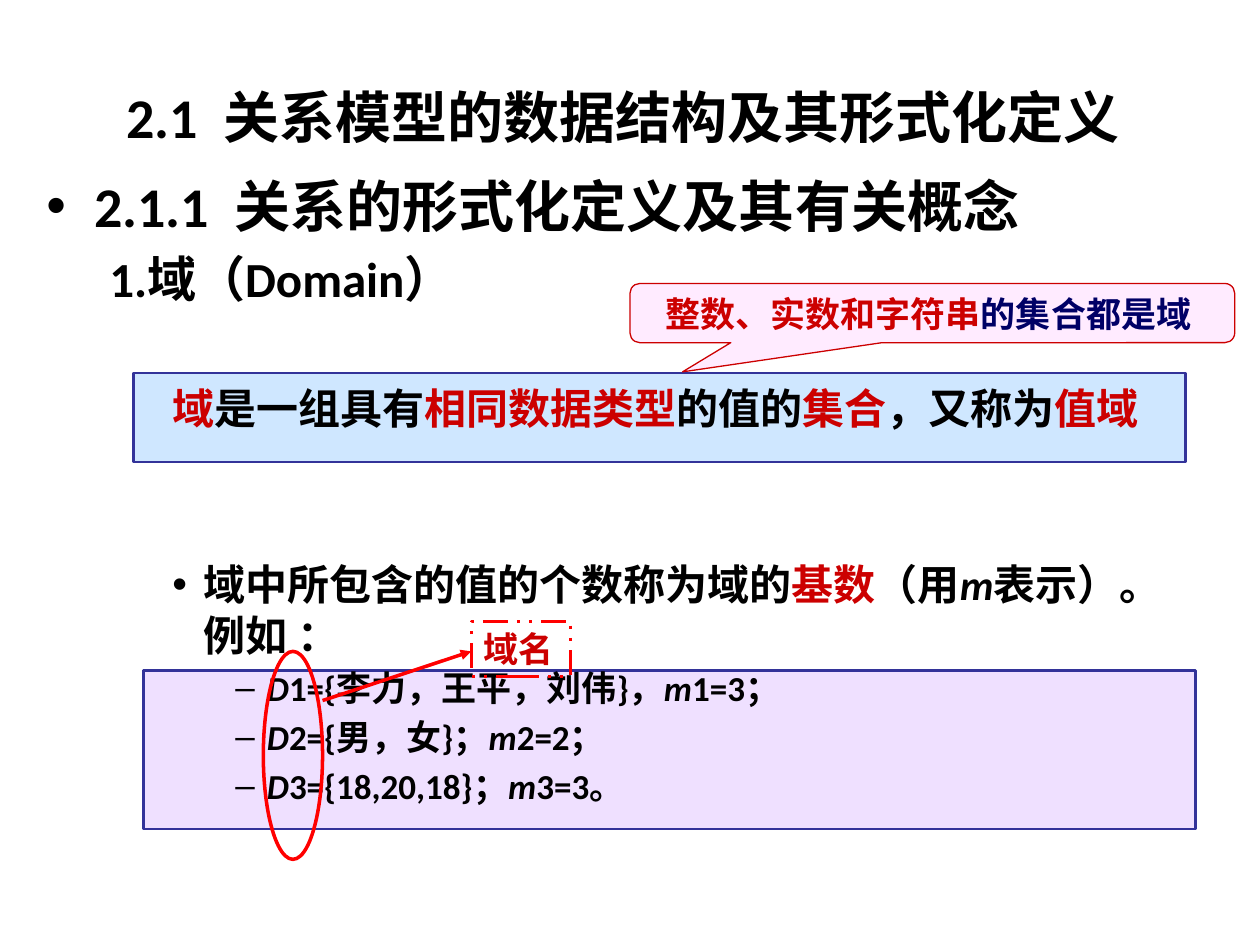
"""Build the slide that defines a domain in the relational model."""
from lxml.etree import SubElement
from pptx import Presentation
from pptx.dml.color import RGBColor as RGB
from pptx.enum.dml import MSO_LINE as DASH
from pptx.enum.shapes import MSO_CONNECTOR as CONN, MSO_SHAPE as SHAPE
from pptx.enum.text import MSO_ANCHOR as ANCHOR, PP_ALIGN as ALIGN
from pptx.oxml.ns import qn
from pptx.util import Inches, Pt

THEME = {
    "ink": "000000", "key": "CC0000", "navy": "000066", "border": "333399", "mark": "FF0000",
    "lilac": "CC99FF", "sky": "99CCFF", "pink": "FFCCFF",
    "body": "Calibri", "label": "Arial",
    "h1": 32, "h2": 28, "h3": 24, "h4": 20,
}

prs = Presentation()
prs.slide_width, prs.slide_height = Inches(10), Inches(7.5)
COL, ROW = prs.slide_width / 100, prs.slide_height / 75
s = prs.slides.add_slide(prs.slide_layouts[5])


def grid(*cells):
    """Turn column and row pairs into lengths."""
    return [round(n * (ROW if i % 2 else COL)) for i, n in enumerate(cells)]


def write(p, runs, size, face):
    """Add (text, colour, italic) runs to a paragraph."""
    for text, color, italic in runs:
        r = p.add_run()
        r.text = text
        fmt = {"name": THEME[face], "size": Pt(THEME[size]), "bold": True, "italic": italic}
        for name, value in fmt.items():
            setattr(r.font, name, value)
        r.font.color.rgb = RGB.from_string(THEME[color])


title = s.shapes.title
title.left, title.top, title.width, title.height = grid(5, 3, 90, 12.5)
title.text_frame.vertical_anchor = ANCHOR.MIDDLE
p = title.text_frame.paragraphs[0]
p.alignment = ALIGN.CENTER
write(p, [("2.1  关系模型的数据结构及其形式化定义 ", "ink", False)], "h1", "body")

shapes = {}
for name, kind, box, fill, alpha, line, width in [
    ("examples", SHAPE.RECTANGLE, (11.4, 53.2, 83.5, 12.6), "lilac", 30, "border", 1.5),
    ("definition", SHAPE.RECTANGLE, (10.6, 29.6, 83.5, 7.1), "sky", 47, "border", 1.25),
    ("body", None, (2.7, 13.1, 91.4, 55.9), None, None, None, None),
    ("callout", SHAPE.ROUNDED_RECTANGULAR_CALLOUT, (50, 22.5, 48, 4.7), "pink", 39, "key", 0.75),
    ("names", SHAPE.OVAL, (20.9, 51.7, 4.7, 16.5), None, None, "mark", 2),
    ("label", SHAPE.RECTANGLE, (37.4, 49.3, 7.9, 4.4), None, None, "mark", 1.75),
]:
    if kind is None:
        shapes[name] = s.shapes.add_textbox(*grid(*box))
        continue
    sp = shapes[name] = s.shapes.add_shape(kind, *grid(*box))
    sp.shadow.inherit = False
    sp.line.color.rgb = RGB.from_string(THEME[line])
    sp.line.width = Pt(width)
    if fill:
        sp.fill.solid()
        sp.fill.fore_color.rgb = RGB.from_string(THEME[fill])
        color = sp._element.spPr.find(qn("a:solidFill"))[0]
        SubElement(color, qn("a:alpha"), val=str(alpha * 1000))
    else:
        sp.fill.background()

for i, value in enumerate((-0.413, 0.993, 0.167)):
    shapes["callout"].adjustments[i] = value
shapes["label"].line.dash_style = DASH.DASH_DOT_DOT

for name, align, runs in [
    ("callout", ALIGN.CENTER,
     [("整数、实数和字符串", "key", False), ("的集合都是域 ", "navy", False)]),
    ("label", ALIGN.LEFT, [("域名", "key", False)]),
]:
    tf = shapes[name].text_frame
    tf.word_wrap = name == "callout"
    tf.vertical_anchor = ANCHOR.MIDDLE
    tf.paragraphs[0].alignment = align
    write(tf.paragraphs[0], runs, "h4", "label")

examples = [("1={李力，王平，刘伟}，", "1=3；"), ("2={男，女}；", "2=2；"), ("3={18,20,18}；", "3=3。")]
outline = [
    (0, "h1", "•", 0, [("2.1.1  关系的形式化定义及其有关概念", "ink", False)]),
    (1, "h2", None, 5.6, [("1.域（Domain）", "ink", False)]),
    (2, "h3", None, 43, [
        ("域", "key", False), ("是一组具有", "ink", False), ("相同数据类型", "key", False),
        ("的值的", "ink", False), ("集合", "key", False), ("，又称为", "ink", False),
        ("值域", "key", False)]),
    (2, "h3", "•", 72, [
        ("域中所包含的值的个数称为域的", "ink", False), ("基数", "key", False),
        ("（用", "ink", False), ("m", "ink", True), ("表示）。例如 ：", "ink", False)]),
] + [
    (3, "h4", "–", 4, [("D", "ink", True), (values, "ink", False),
                       ("m", "ink", True), (count, "ink", False)])
    for values, count in examples
]
indents = [(0.38, -0.38), (0.81, -0.31), (1.25, -0.25), (1.75, -0.25)]

tf = shapes["body"].text_frame
tf.word_wrap = True
for i, (level, size, bullet, before, runs) in enumerate(outline):
    p = tf.add_paragraph() if i else tf.paragraphs[0]
    p.level = level
    p.space_before = Pt(before)
    pPr = p._p.get_or_add_pPr()
    for key, inches in zip(("marL", "indent"), indents[level]):
        pPr.set(key, str(Inches(inches)))
    if bullet:
        SubElement(pPr, qn("a:buFont"), typeface=THEME["label"])
        SubElement(pPr, qn("a:buChar"), char=bullet)
    else:
        SubElement(pPr, qn("a:buNone"))
    write(p, runs, size, "body")

arrow = s.shapes.add_connector(CONN.STRAIGHT, *grid(25.6, 55.6, 37.4, 51.7))
arrow.line.color.rgb = RGB.from_string(THEME["mark"])
arrow.line.width = Pt(2)
SubElement(arrow._element.spPr.find(qn("a:ln")), qn("a:tailEnd"), type="triangle")
SubElement(arrow._element.spPr, qn("a:effectLst"))

prs.save("out.pptx")
